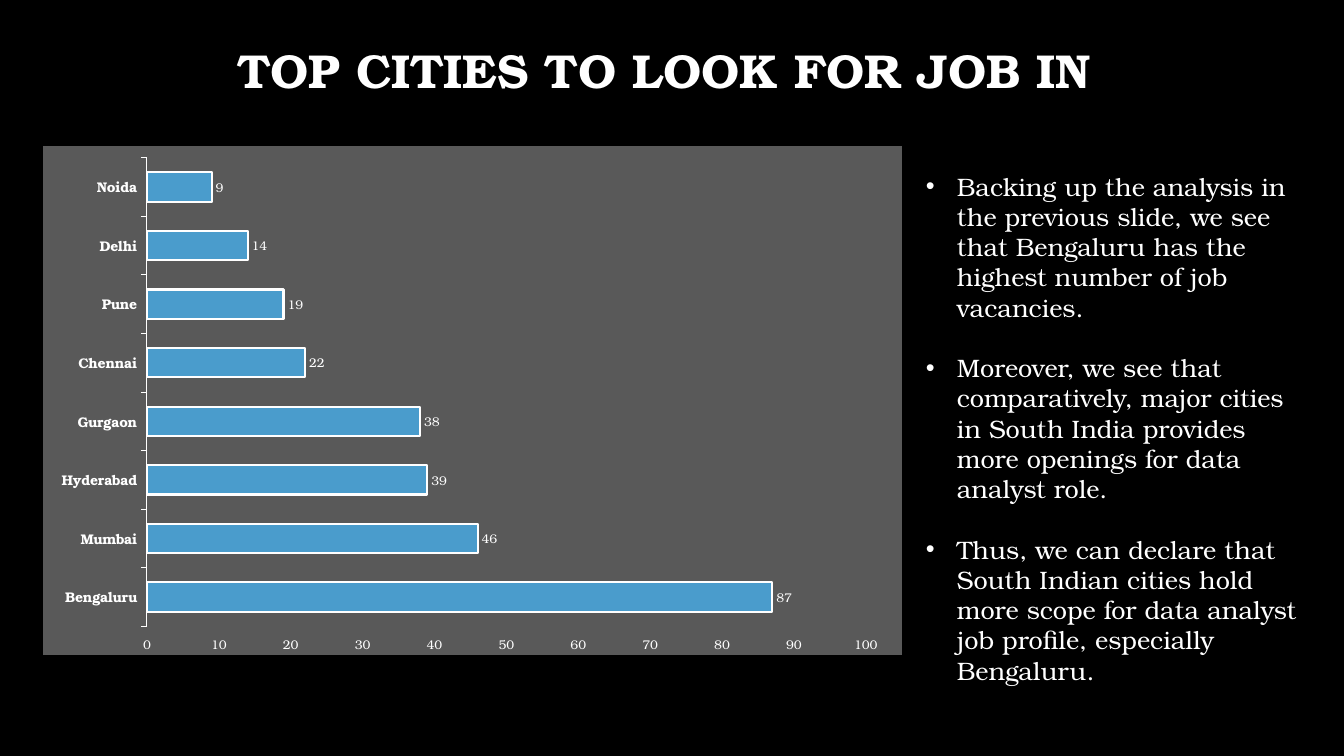
from lxml.etree import SubElement
from pptx import Presentation
from pptx.chart.data import CategoryChartData
from pptx.dml.color import RGBColor
from pptx.enum.chart import XL_CHART_TYPE, XL_LABEL_POSITION, XL_TICK_MARK
from pptx.enum.text import MSO_ANCHOR, MSO_AUTO_SIZE, PP_ALIGN
from pptx.oxml import parse_xml
from pptx.oxml.ns import nsdecls, qn
from pptx.util import Emu, Pt

BLACK = RGBColor(0x00, 0x00, 0x00)
WHITE = RGBColor(0xFF, 0xFF, 0xFF)
GRAY = RGBColor(0x59, 0x59, 0x59)
BLUE = RGBColor(0x4A, 0x9C, 0xCC)
FONT = "TeX Gyre Bonum"
EMU_PER_PX = 914400 / 100.8

TITLE = "TOP CITIES TO LOOK FOR JOB IN "
VACANCIES = {
    "Bengaluru": 87, "Mumbai": 46, "Hyderabad": 39, "Gurgaon": 38,
    "Chennai": 22, "Pune": 19, "Delhi": 14, "Noida": 9,
}
FINDINGS = [
    "Backing up the analysis in the previous slide, we see that Bengaluru "
    "has the highest number of job vacancies.",
    "Moreover, we see that comparatively, major cities in South India "
    "provides more openings for data analyst role.",
    "Thus, we can declare that South Indian cities hold more scope for "
    "data analyst job profile, especially Bengaluru.",
]


def px(length):
    return Emu(round(length * EMU_PER_PX))


class Page:
    def __init__(self, deck):
        self.slide = deck.slides.add_slide(deck.slide_layouts[5])
        fill = self.slide.background.fill
        fill.solid()
        fill.fore_color.rgb = BLACK

    def style(self, font, size, bold=False):
        font.name = FONT
        font.size = Pt(size)
        font.bold = bold
        font.color.rgb = WHITE

    def add_span(self, paragraph, text, size, bold=False):
        span = paragraph.add_run()
        span.text = text
        self.style(span.font, size, bold)

    def title(self, text, left, top, width, height):
        box = self.slide.shapes.title
        box.left, box.top, box.width, box.height = map(px, (left, top, width, height))
        frame = box.text_frame
        frame.auto_size = MSO_AUTO_SIZE.NONE
        frame.vertical_anchor = MSO_ANCHOR.MIDDLE
        paragraph = frame.paragraphs[0]
        paragraph.alignment = PP_ALIGN.CENTER
        paragraph.line_spacing = 0.9
        self.add_span(paragraph, text, 34, True)

    def bullets(self, items, left, top, width, height):
        box = self.slide.shapes.add_textbox(*map(px, (left, top, width, height)))
        frame = box.text_frame
        frame.word_wrap = True
        frame.auto_size = MSO_AUTO_SIZE.SHAPE_TO_FIT_TEXT
        for index, item in enumerate(items):
            paragraph = frame.add_paragraph() if index else frame.paragraphs[0]
            properties = paragraph._p.get_or_add_pPr()
            properties.set("marL", str(px(31)))
            properties.set("indent", str(-px(31)))
            SubElement(properties, qn("a:buFont")).set("typeface", "Arial")
            SubElement(properties, qn("a:buChar")).set("char", "•")
            if index:
                paragraph.space_before = Pt(21.6)
            self.add_span(paragraph, item, 18)

    def bar_chart(self, values, left, top, width, height):
        data = CategoryChartData()
        data.categories = list(values)
        data.add_series("Series 1", list(values.values()))
        frame = self.slide.shapes.add_chart(
            XL_CHART_TYPE.BAR_CLUSTERED, *map(px, (left, top, width, height)), data)
        chart = frame.chart
        chart.has_title = False
        chart.has_legend = False
        self.style(chart.font, 10)
        self.chart_area(chart)

        cities = chart.category_axis
        cities.major_tick_mark = XL_TICK_MARK.OUTSIDE
        cities.format.line.color.rgb = WHITE
        cities.format.line.width = Pt(0.75)
        self.style(cities.tick_labels.font, 10, True)

        scale = chart.value_axis
        scale.minimum_scale = 0
        scale.maximum_scale = 100
        scale.major_unit = 10
        scale.has_major_gridlines = False
        scale.major_tick_mark = XL_TICK_MARK.OUTSIDE
        scale.format.line.fill.background()
        self.style(scale.tick_labels.font, 9)

        plot = chart.plots[0]
        plot.gap_width = 100
        plot.vary_by_categories = False
        bars = plot.series[0].format
        bars.fill.solid()
        bars.fill.fore_color.rgb = BLUE
        bars.line.color.rgb = WHITE
        bars.line.width = Pt(1.5)
        plot.has_data_labels = True
        labels = plot.data_labels
        labels.show_value = True
        labels.position = XL_LABEL_POSITION.OUTSIDE_END
        self.style(labels.font, 9)

    def chart_area(self, chart):
        space = chart._chartSpace
        space.find(qn("c:chart")).addnext(parse_xml(
            f'<c:spPr {nsdecls("c", "a")}><a:solidFill><a:srgbClr val="{GRAY}"/>'
            '</a:solidFill><a:ln><a:noFill/></a:ln></c:spPr>'))
        area = space.find(".//" + qn("c:plotArea"))
        for layout in area.findall(qn("c:layout")):
            area.remove(layout)
        layout = parse_xml(f'<c:layout {nsdecls("c")}/>')
        manual = SubElement(layout, qn("c:manualLayout"))
        settings = {
            "layoutTarget": "inner", "xMode": "edge", "yMode": "edge",
            "x": 0.121, "y": 0.023, "w": 0.837, "h": 0.921,
        }
        for name, value in settings.items():
            SubElement(manual, qn(f"c:{name}")).set("val", str(value))
        area.insert(0, layout)


def main():
    deck = Presentation()
    deck.slide_width, deck.slide_height = px(1344), px(756)
    page = Page(deck)
    page.title(TITLE, 102, 0, 1141, 146)
    page.bar_chart(VACANCIES, 43, 146, 859, 509)
    page.bullets(FINDINGS, 916, 166, 394, 468)
    deck.save("out.pptx")


if __name__ == "__main__":
    main()
